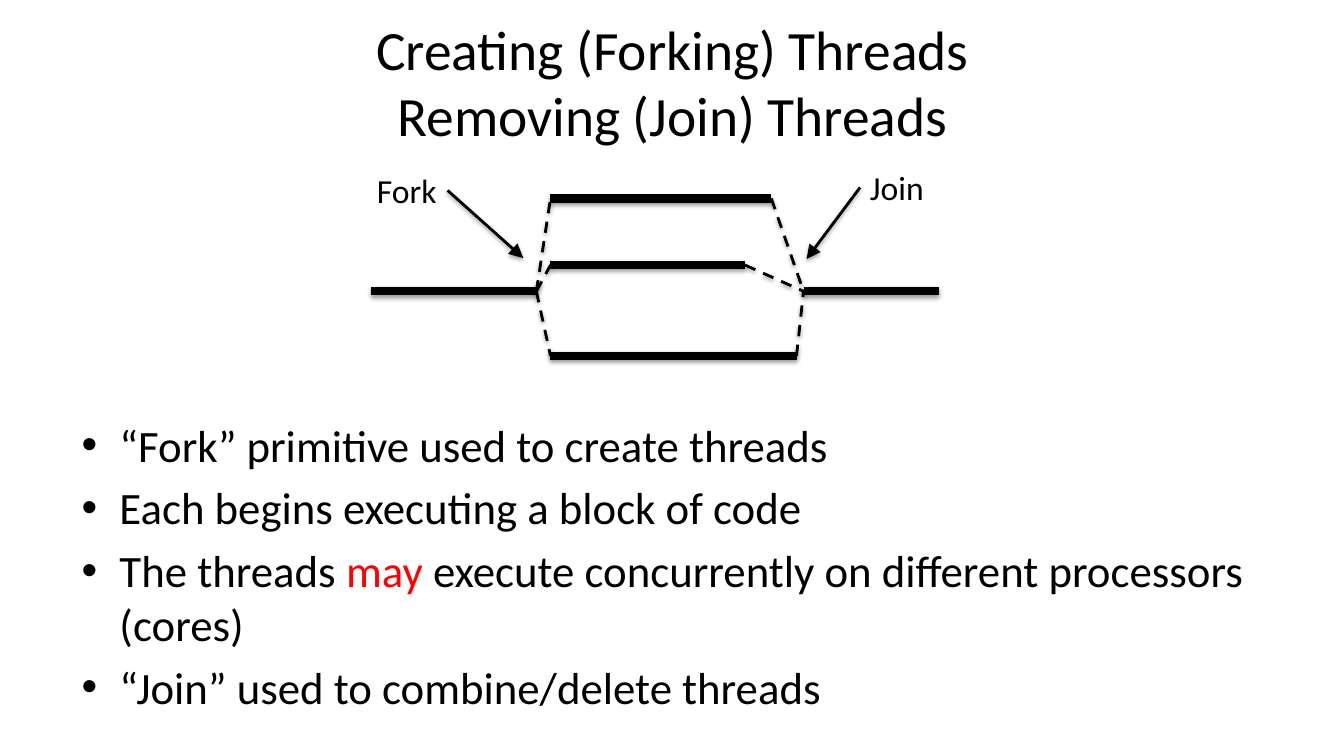
import pptx
import pptx.dml.color
import pptx.enum.dml
import pptx.enum.shapes
import pptx.enum.text
import pptx.oxml
import pptx.oxml.ns
import pptx.util
from pptx.util import Inches

BLACK = "000000"
RED = "FF0000"
SHADOW = (
    f'<a:effectLst {pptx.oxml.ns.nsdecls("a")}>'
    '<a:outerShdw blurRad="40000" dist="20000" dir="5400000" rotWithShape="0">'
    '<a:srgbClr val="000000"><a:alpha val="38000"/></a:srgbClr>'
    '</a:outerShdw></a:effectLst>'
)
ARROWHEAD = f'<a:tailEnd {pptx.oxml.ns.nsdecls("a")} type="triangle" w="lg" len="lg"/>'


def add_text(para, text, size, color=BLACK):
    span = para.add_run()
    span.text = text
    span.font.name = "Calibri"
    span.font.size = pptx.util.Pt(size)
    span.font.color.rgb = pptx.dml.color.RGBColor.from_string(color)


def add_line(start, end, width=2, dashed=False, arrow=False):
    """Draw a shadowed black line between two points in inches."""
    line = slide.shapes.add_connector(
        pptx.enum.shapes.MSO_CONNECTOR.STRAIGHT,
        *(Inches(value) for value in start + end))
    line.line.color.rgb = pptx.dml.color.RGBColor.from_string(BLACK)
    line.line.width = pptx.util.Pt(width)
    if dashed:
        line.line.dash_style = pptx.enum.dml.MSO_LINE.DASH
    if arrow:
        line.line._get_or_add_ln().append(pptx.oxml.parse_xml(ARROWHEAD))
    line._element.spPr.append(pptx.oxml.parse_xml(SHADOW))


deck = pptx.Presentation()
deck.slide_width, deck.slide_height = Inches(13.33), Inches(7.5)
slide = deck.slides.add_slide(deck.slide_layouts[1])
title, body = slide.placeholders

# Title and bullet list
for box, place in ((title, (2.17, 0.18, 9, 1.25)), (body, (0.71, 4.09, 12, 3.18))):
    box.left, box.top, box.width, box.height = (Inches(value) for value in place)
    box.text_frame.auto_size = pptx.enum.text.MSO_AUTO_SIZE.NONE

heading = title.text_frame.paragraphs[0]
add_text(heading, "Creating (Forking) Threads", 39.6)
heading.add_line_break()
add_text(heading, "Removing (Join) Threads", 39.6)

bullets = [
    [("“Fork” primitive used to create threads", BLACK)],
    [("Each begins executing a block of code", BLACK)],
    [("The threads ", BLACK), ("may", RED),
     (" execute concurrently on different processors (cores)", BLACK)],
    [("“Join” used to combine/delete threads", BLACK)],
]
frame = body.text_frame
for index, pieces in enumerate(bullets):
    para = frame.add_paragraph() if index else frame.paragraphs[0]
    for text, color in pieces:
        add_text(para, text, 32, color)

# Main thread before the fork and after the join
fork, join = (5.32, 2.89), (7.97, 2.89)
add_line((3.68, 2.89), fork, width=6)
add_line(join, (9.31, 2.89), width=6)

# Parallel threads, each tied to the fork and the join
thread_left = 5.46
for thread_right, y in ((7.65, 1.97), (7.39, 2.63), (7.9, 3.53)):
    add_line((thread_left, y), (thread_right, y), width=6)
    add_line(fork, (thread_left, y), dashed=True)
    add_line((thread_right, y), join, dashed=True)

# Labels with arrows
labels = [
    ("Fork", (3.64, 1.64, 0.8, 0.5), (4.44, 1.89), (5.19, 2.56)),
    ("Join", (8.53, 1.61, 0.74, 0.5), (8.53, 1.86), (8, 2.57)),
]
for text, place, start, end in labels:
    box = slide.shapes.add_textbox(*(Inches(value) for value in place))
    box.text_frame.word_wrap = False
    box.text_frame.auto_size = pptx.enum.text.MSO_AUTO_SIZE.SHAPE_TO_FIT_TEXT
    add_text(box.text_frame.paragraphs[0], text, 24)
    add_line(start, end, arrow=True)

deck.save("out.pptx")
